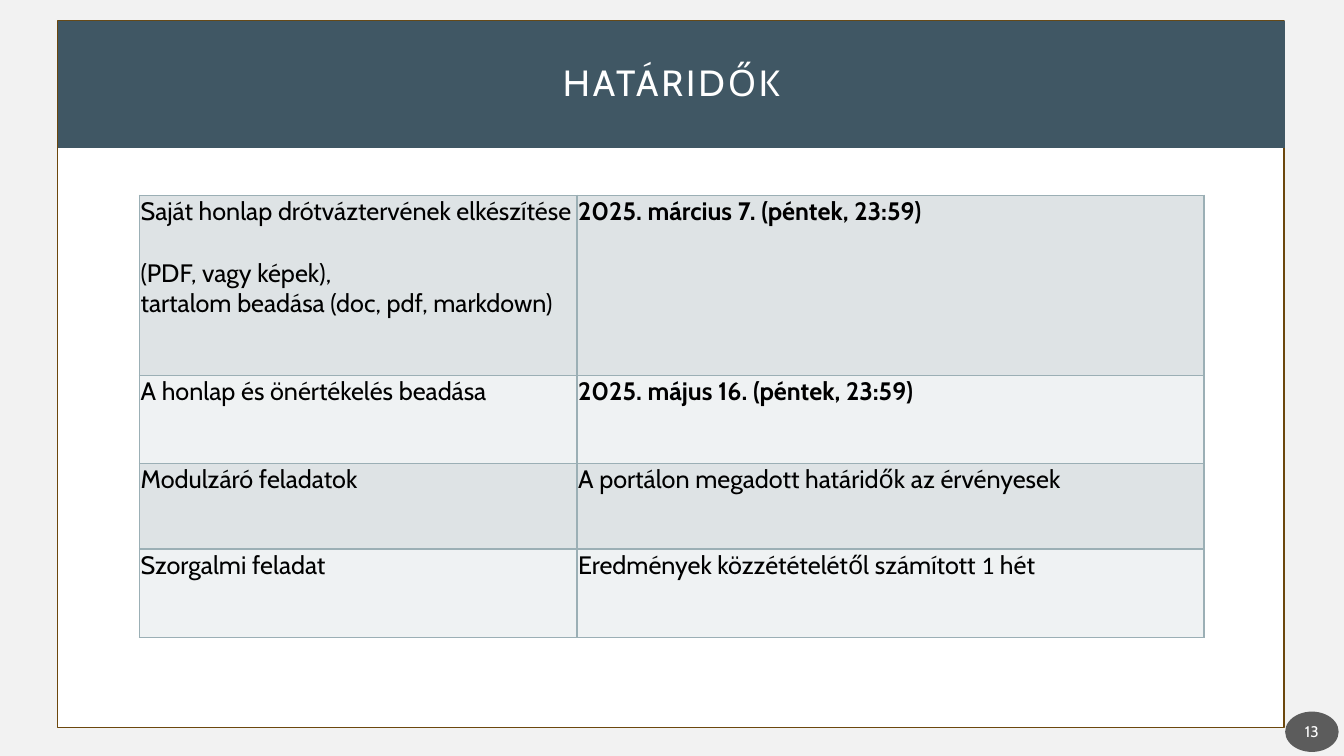
from lxml.etree import SubElement
from pptx import Presentation
from pptx.dml.color import RGBColor
from pptx.enum.shapes import MSO_SHAPE
from pptx.enum.text import MSO_ANCHOR, PP_ALIGN
from pptx.oxml.ns import qn
from pptx.util import Pt

FONT = "Cabin"
DIGIT = "Calibri"
PAPER = RGBColor(0xF2, 0xF2, 0xF2)
WHITE = RGBColor(0xFF, 0xFF, 0xFF)
BLACK = RGBColor(0x00, 0x00, 0x00)
BROWN = RGBColor(0x6C, 0x47, 0x0D)
SLATE = RGBColor(0x40, 0x57, 0x64)
DARK = RGBColor(0x1D, 0x1D, 0x1D)
EDGE = RGBColor(0x9B, 0xAF, 0xB5)
BANDS = (RGBColor(0xDE, 0xE3, 0xE5), RGBColor(0xEF, 0xF2, 0xF3))

COLS = (312.5, 447.8)
# Row height, task, due date as (text, font) runs, bold date
ROWS = (
    (128.5, "Saját honlap drótváztervének elkészítése \v(PDF, vagy képek), \v"
            "tartalom beadása (doc, pdf, markdown)",
     [("2025. március 7. (péntek, 23:59)", None)], True),
    (63, "A honlap és önértékelés beadása",
     [("2025. május 16. (péntek, 23:59)", None)], True),
    (61.2, "Modulzáró feladatok",
     [("A portálon megadott határidők az érvényesek", None)], False),
    (63, "Szorgalmi feladat",
     [("Eredmények közzétételétől számított ", None), ("1", DIGIT),
      (" hét", None)], False),
)


class Deck:
    def __init__(self, wide, high):
        self.show = Presentation()
        self.show.slide_width, self.show.slide_height = Pt(wide), Pt(high)
        self.slide = self.show.slides.add_slide(self.show.slide_layouts[5])
        self.paint(self.slide.background, PAPER)

    def paint(self, part, color):
        part.fill.solid()
        part.fill.fore_color.rgb = color

    def style(self, para, size, color, bold=False):
        font = para.font
        font.name, font.size, font.bold = FONT, Pt(size), bold
        font.color.rgb = color

    def inset(self, frame, side, top):
        frame.margin_left = frame.margin_right = Pt(side)
        frame.margin_top = frame.margin_bottom = Pt(top)
        frame.vertical_anchor = MSO_ANCHOR.MIDDLE

    def shape(self, kind, box, color):
        shape = self.slide.shapes.add_shape(kind, *map(Pt, box))
        shape.shadow.inherit = False
        self.paint(shape, color)
        shape.line.fill.background()
        return shape

    def panel(self, box):
        panel = self.shape(MSO_SHAPE.RECTANGLE, box, WHITE)
        panel.line.color.rgb = BROWN
        panel.line.width = Pt(1)
        # Behind the title
        self.slide.shapes._spTree.insert(2, panel._element)

    def title(self, text, box):
        title = self.slide.shapes.title
        title.left, title.top, title.width, title.height = map(Pt, box)
        self.paint(title, SLATE)
        self.inset(title.text_frame, 14.4, 14.4)
        para = title.text_frame.paragraphs[0]
        para.text = text
        para.alignment, para.line_spacing = PP_ALIGN.CENTER, 0.9
        self.style(para, 26, WHITE)
        para.runs[0]._r.get_or_add_rPr().set("spc", "200")

    def badge(self, text, box):
        badge = self.shape(MSO_SHAPE.OVAL, box, DARK)
        tone = badge._element.spPr.find(qn("a:solidFill"))[0]
        SubElement(tone, qn("a:alpha"), val="70000")
        self.inset(badge.text_frame, 1.4, 3.6)
        para = badge.text_frame.paragraphs[0]
        para.text, para.alignment = text, PP_ALIGN.CENTER
        self.style(para, 11, WHITE)

    def cell(self, cell, runs, color, bold):
        # Borders come before the fill
        props = cell._tc.get_or_add_tcPr()
        for side in ("lnL", "lnR", "lnT", "lnB"):
            line = SubElement(props, qn(f"a:{side}"), w=str(Pt(1)))
            fill = SubElement(line, qn("a:solidFill"))
            SubElement(fill, qn("a:srgbClr"), val=str(EDGE))
        self.paint(cell, color)
        cell.margin_left = cell.margin_right = cell.margin_top = Pt(0.75)
        cell.margin_bottom = Pt(0)
        para = cell.text_frame.paragraphs[0]
        para.space_after = Pt(18)
        self.style(para, 18, BLACK, bold)
        if len(runs) == 1:
            para.text = runs[0][0]
            return
        for text, face in runs:
            run = para.add_run()
            run.text = text
            if face:
                run.font.name = face

    def table(self, left, top):
        high = sum(row[0] for row in ROWS)
        table = self.slide.shapes.add_table(
            len(ROWS), len(COLS), Pt(left), Pt(top), Pt(sum(COLS)), Pt(high)).table
        for col, wide in zip(table.columns, COLS):
            col.width = Pt(wide)
        for i, (high, task, due, bold) in enumerate(ROWS):
            table.rows[i].height = Pt(high)
            color = BANDS[i % 2]
            self.cell(table.cell(i, 0), [(task, None)], color, False)
            self.cell(table.cell(i, 1), due, color, bold)


def main():
    deck = Deck(960, 540)
    # Frame and title band
    deck.panel((41, 15, 876.3, 504.6))
    deck.title("HATÁRIDŐK", (41.5, 15, 876.3, 90.6))
    # Deadlines
    deck.table(99.7, 139.5)
    # Page number
    deck.badge("13", (918, 508.3, 38.2, 28.8))
    deck.show.save("out.pptx")


if __name__ == "__main__":
    main()
